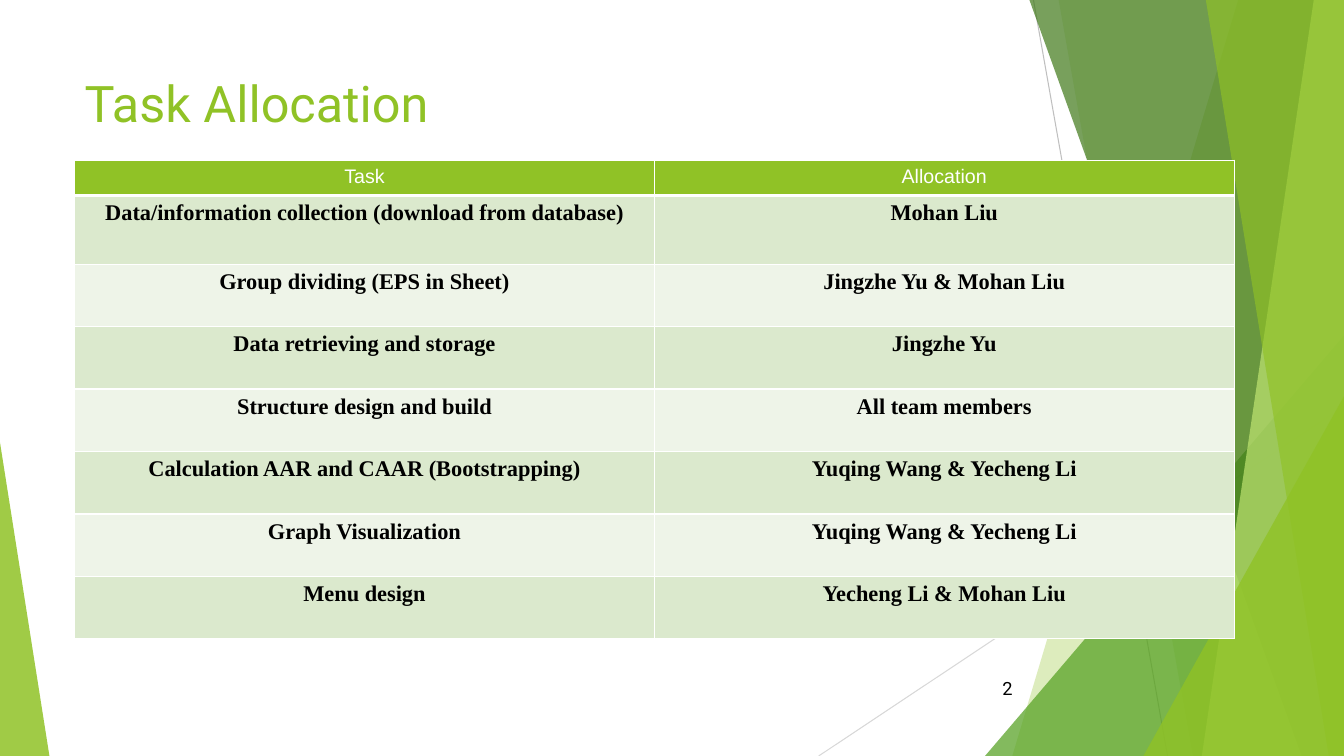
"""Builds the task allocation slide with its green facet decoration."""
from lxml.etree import SubElement
from pptx import Presentation
from pptx.dml.color import RGBColor
from pptx.enum.shapes import MSO_CONNECTOR, MSO_SHAPE
from pptx.enum.text import MSO_ANCHOR, PP_ALIGN
from pptx.oxml.ns import qn
from pptx.util import Inches, Pt

W, H = 13.33, 7.5
COLORS = {
    "lime": "90C226", "green": "54A021", "forest": "3F7818", "pale": "BFE471",
    "gray": "BFBFBF", "light_gray": "D8D8D8", "white": "FFFFFF", "black": "000000",
    "odd": "DBE9CD", "even": "EEF4E8",
}
TITLE = "Task Allocation"
PAGE = "2"
ROWS = [
    ("Task", "Allocation"),
    ("Data/information collection (download from database)", "Mohan Liu"),
    ("Group dividing (EPS in Sheet)", "Jingzhe Yu & Mohan Liu"),
    ("Data retrieving and storage", "Jingzhe Yu"),
    ("Structure design and build", "All team members"),
    ("Calculation AAR and CAAR (Bootstrapping)", "Yuqing Wang & Yecheng Li"),
    ("Graph Visualization", "Yuqing Wang & Yecheng Li"),
    ("Menu design", "Yecheng Li & Mohan Liu"),
]
ROW_HEIGHTS = [0.35, 0.68] + [0.62] * 6
COL_WIDTH = 5.75
LINES = [
    ((10.25, 0), (11.58, H), "gray"),
    ((W, 4.03), (8.12, H), "light_gray"),
]
FACETS = [
    ("band", (12.28, 10.04), "lime", 30),
    ("band", (10.5, 11.83), "lime", 20),
    ("triangle", (9.77, 3.33, 3.56, 4.17, 1), "green", 72),
    ("band", (10.21, 12.91), "forest", 70),
    ("band", (13.03, 11.92), "pale", 70),
    ("band", (11.96, 13.18), "lime", 65),
    ("triangle", (11.34, 3.93, 1.99, 3.57, 1), "lime", 80),
    ("triangle", (0, 4.39, 0.49, 3.11, 0), "lime", 85),
]


def rgb(name):
    """Return the named colour."""
    return RGBColor.from_string(COLORS[name])


def write(tf, text, *, size, font, color, bold=False, align=PP_ALIGN.LEFT, anchor=MSO_ANCHOR.TOP):
    """Put one formatted paragraph in a text frame."""
    tf.word_wrap = True
    tf.vertical_anchor = anchor
    p = tf.paragraphs[0]
    p.alignment = align
    r = p.add_run()
    r.text = text
    r.font.size, r.font.name, r.font.bold = Pt(size), font, bold
    r.font.color.rgb = rgb(color)


def add_line(s, start, end, color):
    """Draw a thin straight line."""
    ln = s.shapes.add_connector(MSO_CONNECTOR.STRAIGHT, *map(Inches, start + end))
    ln.line.color.rgb = rgb(color)
    ln.line.width = Pt(0.75)
    SubElement(ln._element.spPr, qn("a:effectLst"))


def add_facet(s, kind, geometry, color, opacity):
    """Draw a translucent band to the right edge, or a right triangle."""
    if kind == "band":
        top, bottom = geometry
        points = [(Inches(x), Inches(y)) for x, y in ((top, 0), (W, 0), (W, H), (bottom, H))]
        builder = s.shapes.build_freeform(*points[0])
        builder.add_line_segments(points[1:], close=True)
        sp = builder.convert_to_shape()
    else:
        *box, apex = geometry
        sp = s.shapes.add_shape(MSO_SHAPE.ISOSCELES_TRIANGLE, *map(Inches, box))
        sp.adjustments[0] = apex
    sp.shadow.inherit = False
    sp.line.fill.background()
    sp.fill.solid()
    sp.fill.fore_color.rgb = rgb(color)
    clr = sp._element.spPr.find(qn("a:solidFill"))[0]
    SubElement(clr, qn("a:alpha"), val=str(opacity * 1000))


def add_borders(cell, bottom):
    """Give a cell white borders, with its own bottom width in points."""
    tc_pr = cell._tc.get_or_add_tcPr()
    for side, width in (("L", 1), ("R", 1), ("T", 1), ("B", bottom)):
        ln = SubElement(tc_pr, qn(f"a:ln{side}"), w=str(Pt(width)))
        fill = SubElement(ln, qn("a:solidFill"))
        SubElement(fill, qn("a:srgbClr"), val=COLORS["white"])


def add_tasks(s):
    """Add the table of tasks and people."""
    box = (0.74, 1.59, 2 * COL_WIDTH, sum(ROW_HEIGHTS))
    table = s.shapes.add_table(len(ROWS), 2, *map(Inches, box)).table
    for col in table.columns:
        col.width = Inches(COL_WIDTH)
    for i, (row, height) in enumerate(zip(ROWS, ROW_HEIGHTS)):
        table.rows[i].height = Inches(height)
        if i == 0:
            fill, style = "lime", dict(size=14, font="Arial", color="white")
        else:
            fill = "odd" if i % 2 else "even"
            style = dict(size=16, font="Times New Roman", color="black", bold=True)
        for j, text in enumerate(row):
            cell = table.cell(i, j)
            add_borders(cell, 1 if i else 3)
            cell.fill.solid()
            cell.fill.fore_color.rgb = rgb(fill)
            write(cell.text_frame, text, align=PP_ALIGN.CENTER, **style)


def main():
    """Build and save the slide."""
    prs = Presentation()
    prs.slide_width, prs.slide_height = Inches(W), Inches(H)
    s = prs.slides.add_slide(prs.slide_layouts[5])
    for line in LINES:
        add_line(s, *line)
    for facet in FACETS:
        add_facet(s, *facet)
    title = s.shapes.title
    title.left, title.top, title.width, title.height = map(Inches, (0.74, 0.67, 9.4, 1.44))
    write(title.text_frame, TITLE, size=36, font="Roboto", color="lime")
    add_tasks(s)
    page = s.shapes.add_textbox(*map(Inches, (9.39, 6.63, 0.75, 0.4)))
    write(page.text_frame, PAGE, size=13, font="Roboto", color="black",
          align=PP_ALIGN.RIGHT, anchor=MSO_ANCHOR.MIDDLE)
    prs.save("out.pptx")


if __name__ == "__main__":
    main()
